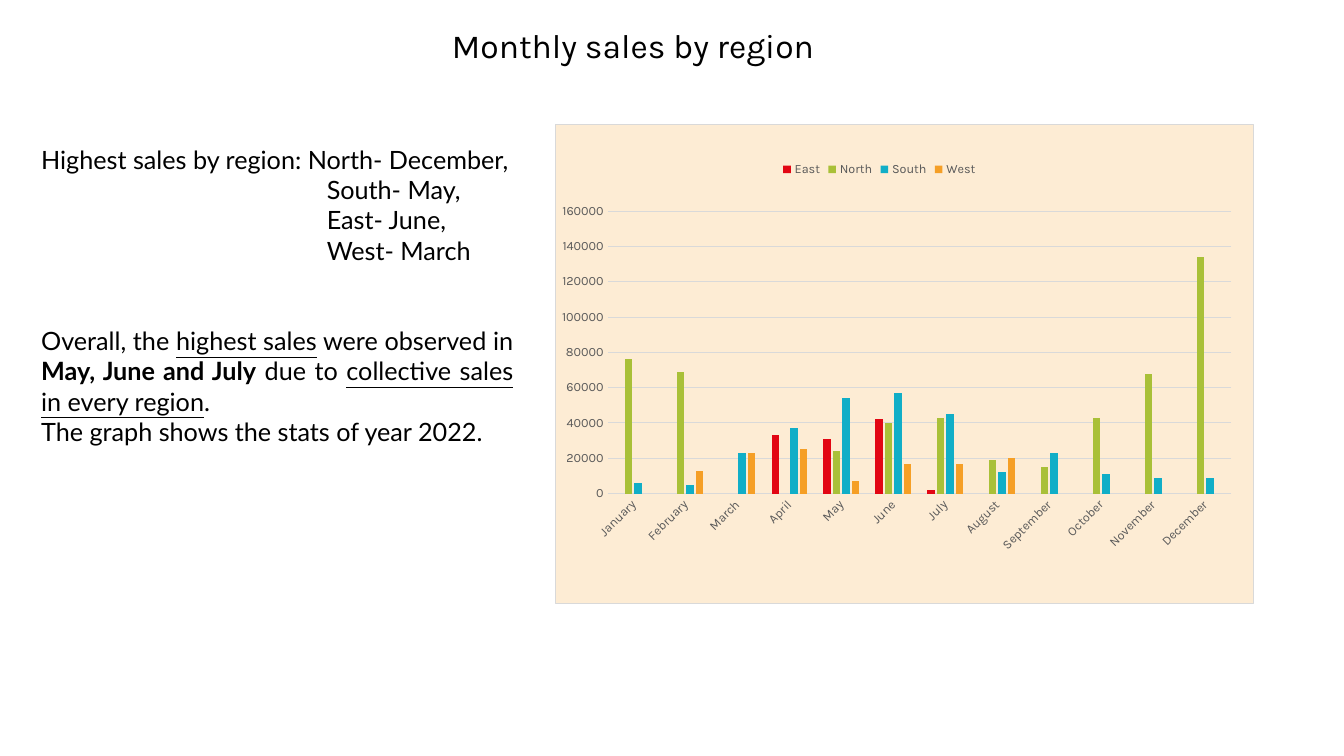
from dataclasses import dataclass

from pptx import Presentation
from pptx.chart.data import CategoryChartData
from pptx.dml.color import RGBColor
from pptx.enum.chart import XL_CHART_TYPE, XL_LEGEND_POSITION, XL_TICK_MARK
from pptx.enum.text import MSO_AUTO_SIZE, PP_ALIGN
from pptx.oxml import parse_xml
from pptx.oxml.ns import nsdecls
from pptx.util import Pt

COLUMNS = XL_CHART_TYPE.COLUMN_CLUSTERED
LEGEND_TOP = XL_LEGEND_POSITION.TOP
NO_TICK = XL_TICK_MARK.NONE
GROW = MSO_AUTO_SIZE.SHAPE_TO_FIT_TEXT
CENTER, JUSTIFY = PP_ALIGN.CENTER, PP_ALIGN.JUSTIFY


@dataclass(frozen=True)
class Theme:
    """Colours, fonts and type sizes of the slide."""
    ink: str = "000000"
    label: str = "595959"
    rule: str = "D9D9D9"
    panel: str = "FDECD4"
    heading_font: str = "Karla"
    body_font: str = "Lato"
    heading_size: int = 24
    body_size: int = 18
    chart_size: int = 10
    label_size: int = 9
    rule_width: float = 0.75


THEME = Theme()
TITLE_BOX = (115.9, 14.4, 672.5, 36)
NOTES_BOX = (22.3, 99.4, 351.4, 225.4)
CHART_BOX = (396.7, 88.6, 499, 342.7)
REGION_INDENT = 204
SUMMARY_GAP = 43.2

TITLE = [([("Monthly sales by region", {})], {"alignment": CENTER})]
REGIONS = ["South- May,", "East- June,", "West- March"]
SUMMARY = [
    ("Overall, the ", {}),
    ("highest sales", {"underline": True}),
    (" were observed in ", {}),
    ("May, June and July", {"bold": True}),
    (" due to ", {}),
    ("collective sales in every region", {"underline": True}),
    (".", {}),
]
NOTES = [
    ([("Highest sales by region: North- December,", {})], {"alignment": JUSTIFY}),
    *[([(region, {})], {"alignment": JUSTIFY, "indent": REGION_INDENT})
      for region in REGIONS],
    (SUMMARY, {"alignment": JUSTIFY, "space_before": Pt(SUMMARY_GAP)}),
    ([("The graph shows the stats of year 2022.", {})], {"alignment": JUSTIFY}),
]

MONTHS = ["January", "February", "March", "April", "May", "June", "July",
          "August", "September", "October", "November", "December"]
SALES = {
    "East": ("E20613", [None, None, None, 33000, 31000, 42000, 2000,
                        None, None, None, None, None]),
    "North": ("A9C038", [76000, 69000, None, None, 24000, 40000, 43000,
                         19000, 15000, 43000, 68000, 134000]),
    "South": ("11AEC7", [6000, 5000, 23000, 37000, 54000, 57000, 45000,
                         12000, 23000, 11000, 9000, 9000]),
    "West": ("F59F26", [None, 13000, 23000, 25000, 7000, 17000, 17000,
                        20000, None, None, None, None]),
}


def apply(target, formats):
    """Set every format value on the target."""
    for name, value in formats.items():
        setattr(target, name, value)


def style_font(font, name, size, color, formats=None):
    """Give a font its face, size, colour and extra formats."""
    apply(font, {"name": name, "size": Pt(size), **(formats or {})})
    font.color.rgb = RGBColor.from_string(color)


def style_line(line):
    """Draw a line as a thin rule."""
    line.color.rgb = RGBColor.from_string(THEME.rule)
    line.width = Pt(THEME.rule_width)


def add_text(page, box, paragraphs, face, size):
    """Place formatted paragraphs in a wrapping text box."""
    frame = page.shapes.add_textbox(*map(Pt, box)).text_frame
    apply(frame, {"word_wrap": True, "auto_size": GROW})
    for index, (spans, formats) in enumerate(paragraphs):
        para = frame.paragraphs[0] if index == 0 else frame.add_paragraph()
        settings = dict(formats)
        indent = settings.pop("indent", 0)
        if indent:
            para._p.get_or_add_pPr().set("marL", str(Pt(indent)))
        apply(para, settings)
        for text, span_formats in spans:
            span = para.add_run()
            span.text = text
            style_font(span.font, face, size, THEME.ink, span_formats)


def manual_layout(edges, inner=False):
    """Build a chart layout element from fractions of the chart."""
    target = '<c:layoutTarget val="inner"/>' if inner else ""
    modes = "".join(f'<c:{key}Mode val="edge"/>' for key in ("x", "y"))
    values = "".join(f'<c:{key} val="{value}"/>' for key, value in edges.items())
    return parse_xml(f'<c:layout {nsdecls("c")}><c:manualLayout>'
                     f'{target}{modes}{values}</c:manualLayout></c:layout>')


def panel_properties():
    """Build the fill and border of the chart area."""
    return parse_xml(
        f'<c:spPr {nsdecls("c", "a")}>'
        f'<a:solidFill><a:srgbClr val="{THEME.panel}"/></a:solidFill>'
        f'<a:ln w="{Pt(THEME.rule_width)}"><a:solidFill>'
        f'<a:srgbClr val="{THEME.rule}"/></a:solidFill></a:ln></c:spPr>')


def style_axes(chart):
    """Format the month axis and the sales axis."""
    months, sales = chart.category_axis, chart.value_axis
    for axis in (months, sales):
        apply(axis, {"major_tick_mark": NO_TICK, "minor_tick_mark": NO_TICK})
        style_font(axis.tick_labels.font, THEME.heading_font,
                   THEME.label_size, THEME.label)
    style_line(months.format.line)
    months._element.txPr.bodyPr.set("rot", "-2700000")
    apply(sales, {"minimum_scale": 0, "maximum_scale": 160000,
                  "major_unit": 20000, "has_major_gridlines": True})
    style_line(sales.major_gridlines.format.line)
    sales.format.line.fill.background()


def add_sales_chart(page, box):
    """Place the clustered columns of sales by month and region."""
    data = CategoryChartData()
    data.categories = MONTHS
    for region, (_, values) in SALES.items():
        data.add_series(region, values)
    chart = page.shapes.add_chart(COLUMNS, *map(Pt, box), data).chart
    apply(chart, {"has_title": False, "has_legend": True})
    style_font(chart.font, THEME.heading_font, THEME.chart_size, THEME.ink)
    style_axes(chart)
    plot = chart.plots[0]
    apply(plot, {"gap_width": 219, "overlap": -27, "vary_by_categories": False})
    for series, (color, _) in zip(plot.series, SALES.values()):
        series.format.fill.solid()
        series.format.fill.fore_color.rgb = RGBColor.from_string(color)
    legend = chart.legend
    apply(legend, {"position": LEGEND_TOP, "include_in_layout": False})
    style_font(legend.font, THEME.heading_font, THEME.label_size, THEME.label)
    legend._element.find("{*}legendPos").addnext(
        manual_layout({"x": 0.32, "y": 0.07}))
    area = chart._chartSpace.chart.plotArea
    for layout in area.findall("{*}layout"):
        area.remove(layout)
    area.insert(0, manual_layout(
        {"x": 0.074, "y": 0.181, "w": 0.894, "h": 0.59}, inner=True))
    chart._chartSpace.chart.addnext(panel_properties())


def main():
    """Build and save the sales slide."""
    deck = Presentation()
    apply(deck, {"slide_width": Pt(960), "slide_height": Pt(540)})
    page = deck.slides.add_slide(deck.slide_layouts[6])
    add_text(page, NOTES_BOX, NOTES, THEME.body_font, THEME.body_size)
    add_text(page, TITLE_BOX, TITLE, THEME.heading_font, THEME.heading_size)
    add_sales_chart(page, CHART_BOX)
    deck.save("out.pptx")


if __name__ == "__main__":
    main()
